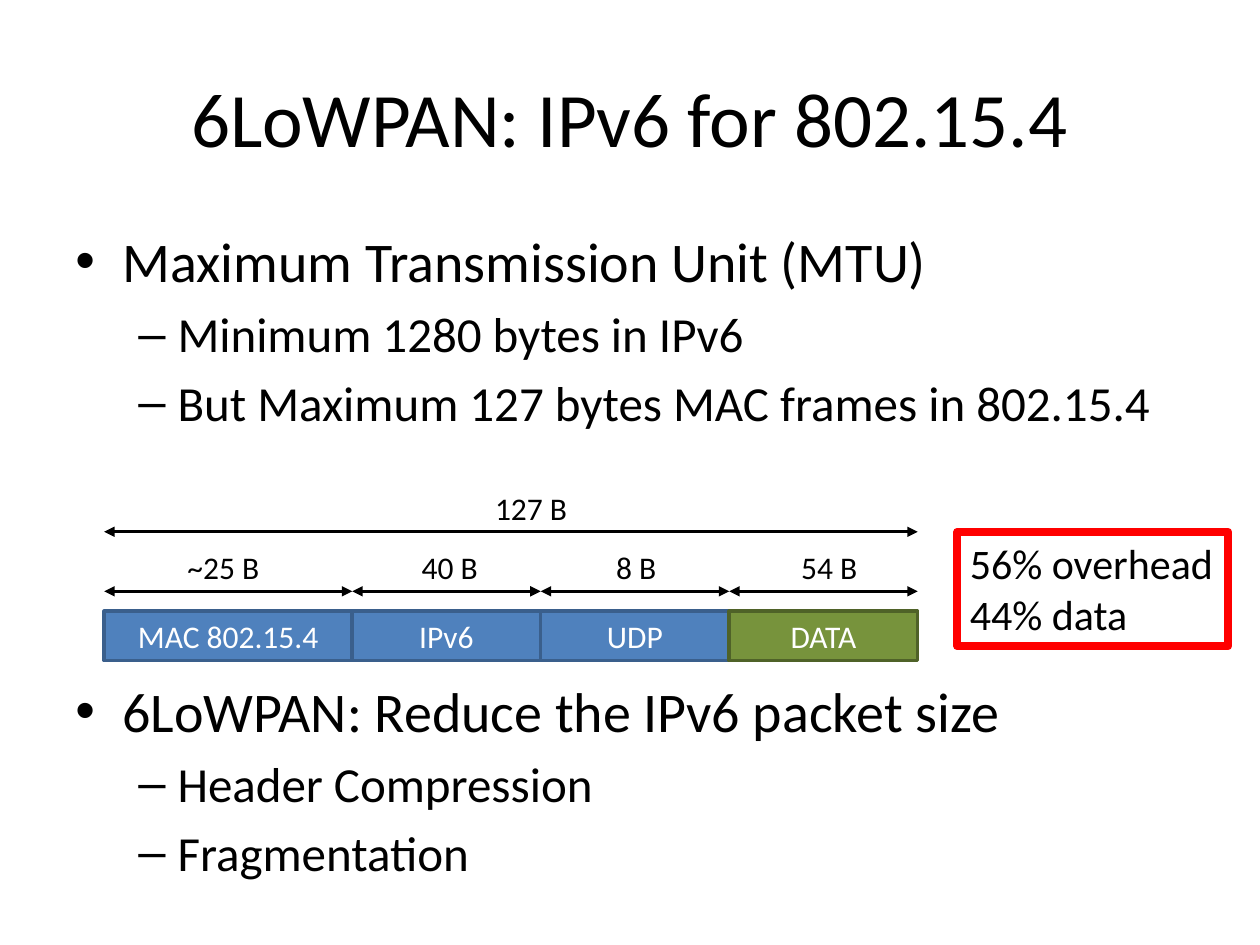
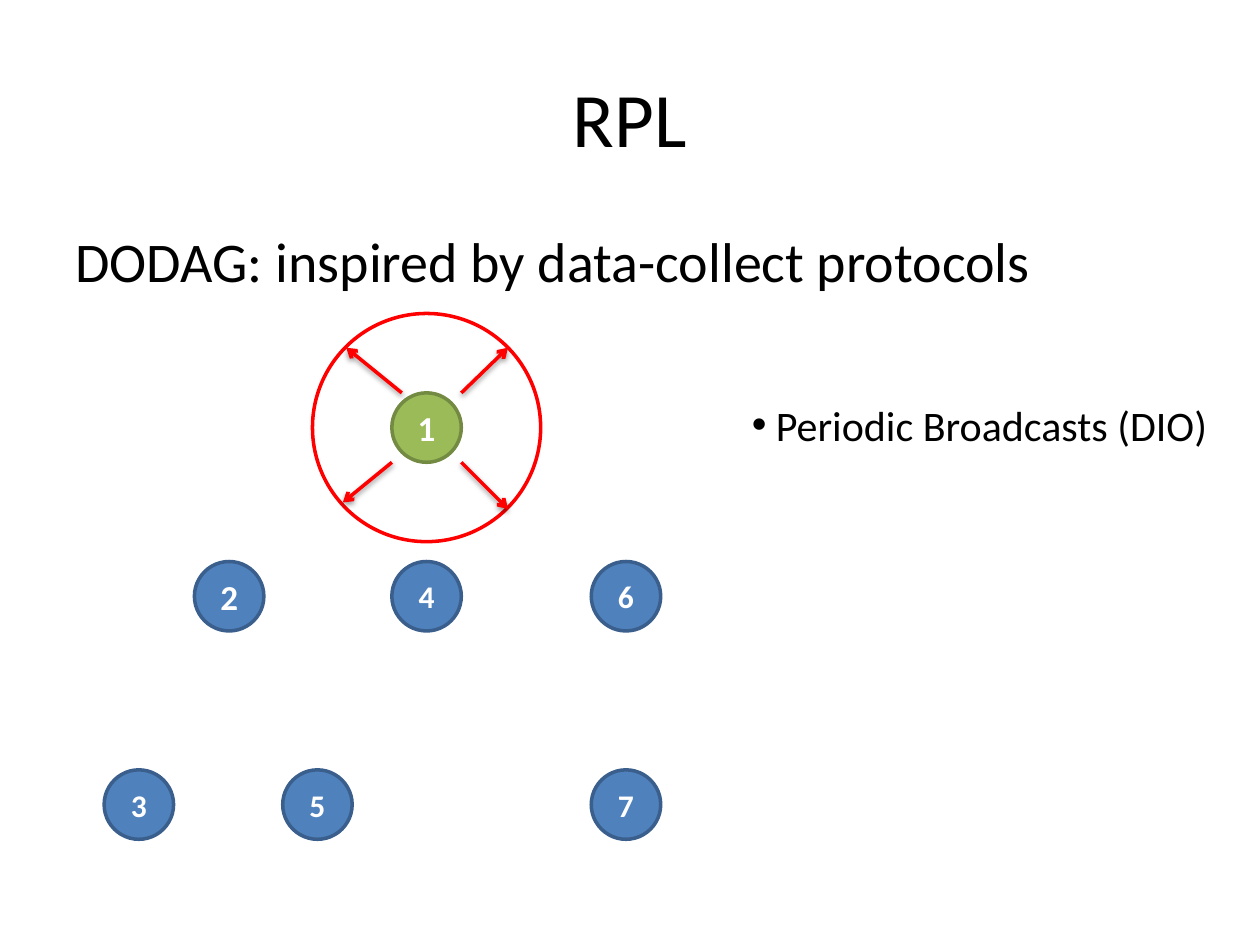
"""Build two slides: 6LoWPAN packet overhead and RPL broadcasts."""
import itertools

import lxml.etree
import pptx
import pptx.dml.color
import pptx.enum.shapes
import pptx.enum.text
import pptx.oxml.ns
import pptx.util

Cm = pptx.util.Cm
Pt = pptx.util.Pt
qn = pptx.oxml.ns.qn
colour = pptx.dml.color.RGBColor.from_string
Align = pptx.enum.text.PP_ALIGN
Anchor = pptx.enum.text.MSO_ANCHOR
Preset = pptx.enum.shapes.MSO_SHAPE

BLACK, WHITE, RED = "000000", "FFFFFF", "FF0000"
BLUE, DARK_BLUE = "4F81BD", "3A5F8C"
OLIVE, DARK_OLIVE = "77933C", "4F6228"
GREEN, DARK_GREEN = "9BBB59", "738A42"


def write(para, text, size, ink=BLACK, bold=False, align=Align.LEFT):
    para.alignment = align
    span = para.add_run()
    span.text = text
    span.font.name = "Calibri"
    span.font.size = Pt(size)
    span.font.bold = bold
    span.font.color.rgb = colour(ink)


def add_bullet(para, symbol, margin, hanging):
    properties = para._p.get_or_add_pPr()
    properties.set("marL", str(Cm(margin)))
    properties.set("indent", str(-Cm(hanging)))
    font = lxml.etree.SubElement(properties, qn("a:buFont"))
    font.set("typeface", "Arial")
    lxml.etree.SubElement(properties, qn("a:buChar")).set("char", symbol)


deck = pptx.Presentation()
deck.slide_width, deck.slide_height = Cm(25.4), Cm(19.05)

pages = []
for heading in ["6LoWPAN: IPv6 for 802.15.4", "RPL"]:
    page = deck.slides.add_slide(deck.slide_layouts[5])
    title = page.shapes.title
    title.left, title.top, title.width, title.height = Cm(1.27), Cm(0.76), Cm(22.86), Cm(3.18)
    title.text_frame.vertical_anchor = Anchor.MIDDLE
    write(title.text_frame.paragraphs[0], heading, 44, align=Align.CENTER)
    pages.append(page)
packet_page, rpl_page = pages

body = packet_page.shapes.add_textbox(Cm(1.27), Cm(4.45), Cm(22.86), Cm(14.6)).text_frame
body.word_wrap = True
outline = [
    ("•", "Maximum Transmission Unit (MTU)", 0),
    ("–", "Minimum 1280 bytes in IPv6", 5.6),
    ("–", "But Maximum 127 bytes MAC frames in 802.15.4", 5.6),
    ("•", "6LoWPAN: Reduce the IPv6 packet size", 140),
    ("–", "Header Compression", 5.6),
    ("–", "Fragmentation", 5.6),
]
for number, (symbol, text, gap) in enumerate(outline):
    para = body.add_paragraph() if number else body.paragraphs[0]
    margin, hanging, size = (0.95, 0.95, 32) if symbol == "•" else (2.06, 0.79, 28)
    add_bullet(para, symbol, margin, hanging)
    if gap:
        para.space_before = Pt(gap)
    write(para, text, size)

fields = [
    ("MAC 802.15.4", 5.0, BLUE, DARK_BLUE),
    ("IPv6", 3.8, BLUE, DARK_BLUE),
    ("UDP", 3.8, BLUE, DARK_BLUE),
    ("DATA", 3.8, OLIVE, DARK_OLIVE),
]
edges = list(itertools.accumulate((field[1] for field in fields), initial=2.1))
shapes = [
    (packet_page, Preset.RECTANGLE, left, 12.32, width, 1.0, fill, line, name, 18, False)
    for left, (name, width, fill, line) in zip(edges, fields)
]
arrows = [
    (packet_page, left, 11.92, right, 11.92) for left, right in itertools.pairwise(edges)
]
arrows.append((packet_page, edges[0], 10.72, edges[-1], 10.72))

labels = [
    (packet_page, "127 B", 9.73, 9.73, 1.98, 18),
    (packet_page, "~25 B", 3.53, 10.92, 1.98, 18),
    (packet_page, "40 B", 8.25, 10.92, 1.65, 18),
    (packet_page, "8 B", 12.17, 10.92, 1.32, 18),
    (packet_page, "54 B", 15.9, 10.92, 1.65, 18),
    (rpl_page, "DODAG: inspired by data-collect protocols", 1.27, 4.45, 22.86, 32),
    (rpl_page, "Periodic Broadcasts (DIO)", 14.91, 7.92, 9.78, 24),
]
for page, text, left, top, width, size in labels:
    frame = page.shapes.add_textbox(Cm(left), Cm(top), Cm(width), Cm(size * 0.057)).text_frame
    frame.word_wrap = False
    if text.startswith("Periodic"):
        add_bullet(frame.paragraphs[0], "•", 0.48, 0.48)
    write(frame.paragraphs[0], text, size)

ring = rpl_page.shapes.add_shape(Preset.OVAL, Cm(6.3), Cm(6.32), Cm(4.6), Cm(4.6))
ring.shadow.inherit = False
ring.fill.background()
ring.line.color.rgb = colour(RED)
ring.line.width = Pt(2)

arrows += [
    (rpl_page, 7.9, 9.32, 6.91, 10.13),
    (rpl_page, 9.3, 9.32, 10.24, 10.26),
    (rpl_page, 8.1, 7.92, 6.98, 7.01),
    (rpl_page, 9.3, 7.92, 10.24, 7.01),
]
for page, *ends in arrows:
    broadcast = page is rpl_page
    arrow = page.shapes.add_connector(
        pptx.enum.shapes.MSO_CONNECTOR.STRAIGHT, *(Cm(end) for end in ends)
    )
    arrow.line.color.rgb = colour(RED if broadcast else BLACK)
    arrow.line.width = Pt(2 if broadcast else 1.5)
    stroke = arrow.line._get_or_add_ln()
    for tag in ["a:tailEnd"] if broadcast else ["a:headEnd", "a:tailEnd"]:
        tip = lxml.etree.SubElement(stroke, qn(tag))
        tip.set("type", "arrow" if broadcast else "triangle")
    effects = lxml.etree.SubElement(arrow._element.spPr, qn("a:effectLst"))
    if broadcast:
        shadow = lxml.etree.SubElement(
            effects, qn("a:outerShdw"), blurRad=str(Pt(3.1)), dist=str(Pt(1.6)),
            dir="5400000", rotWithShape="0",
        )
        shade = lxml.etree.SubElement(shadow, qn("a:srgbClr"), val=BLACK)
        lxml.etree.SubElement(shade, qn("a:alpha"), val="38000")

nodes = [
    ("1", 7.9, 7.92, 20),
    ("2", 3.92, 11.32, 20),
    ("4", 7.9, 11.32, 18),
    ("6", 11.92, 11.32, 18),
    ("3", 2.1, 15.52, 18),
    ("5", 5.7, 15.52, 18),
    ("7", 11.92, 15.52, 18),
]
for name, left, top, size in nodes:
    fill, line = (GREEN, DARK_GREEN) if name == "1" else (BLUE, DARK_BLUE)
    shapes.append((rpl_page, Preset.OVAL, left, top, 1.4, 1.4, fill, line, name, size, True))
for page, preset, left, top, width, height, fill, line, name, size, bold in shapes:
    box = page.shapes.add_shape(preset, Cm(left), Cm(top), Cm(width), Cm(height))
    box.shadow.inherit = False
    box.fill.solid()
    box.fill.fore_color.rgb = colour(fill)
    box.line.color.rgb = colour(line)
    box.line.width = Pt(2)
    box.text_frame.vertical_anchor = Anchor.MIDDLE
    write(box.text_frame.paragraphs[0], name, size, WHITE, bold, Align.CENTER)

overhead = packet_page.shapes.add_textbox(Cm(19.3), Cm(10.72), Cm(5.46), Cm(2.31))
overhead.fill.solid()
overhead.fill.fore_color.rgb = colour(WHITE)
overhead.line.color.rgb = colour(RED)
overhead.line.width = Pt(4.5)
overhead.text_frame.word_wrap = False
write(overhead.text_frame.paragraphs[0], "56% overhead", 24)
write(overhead.text_frame.add_paragraph(), "44% data", 24)

deck.save("out.pptx")
